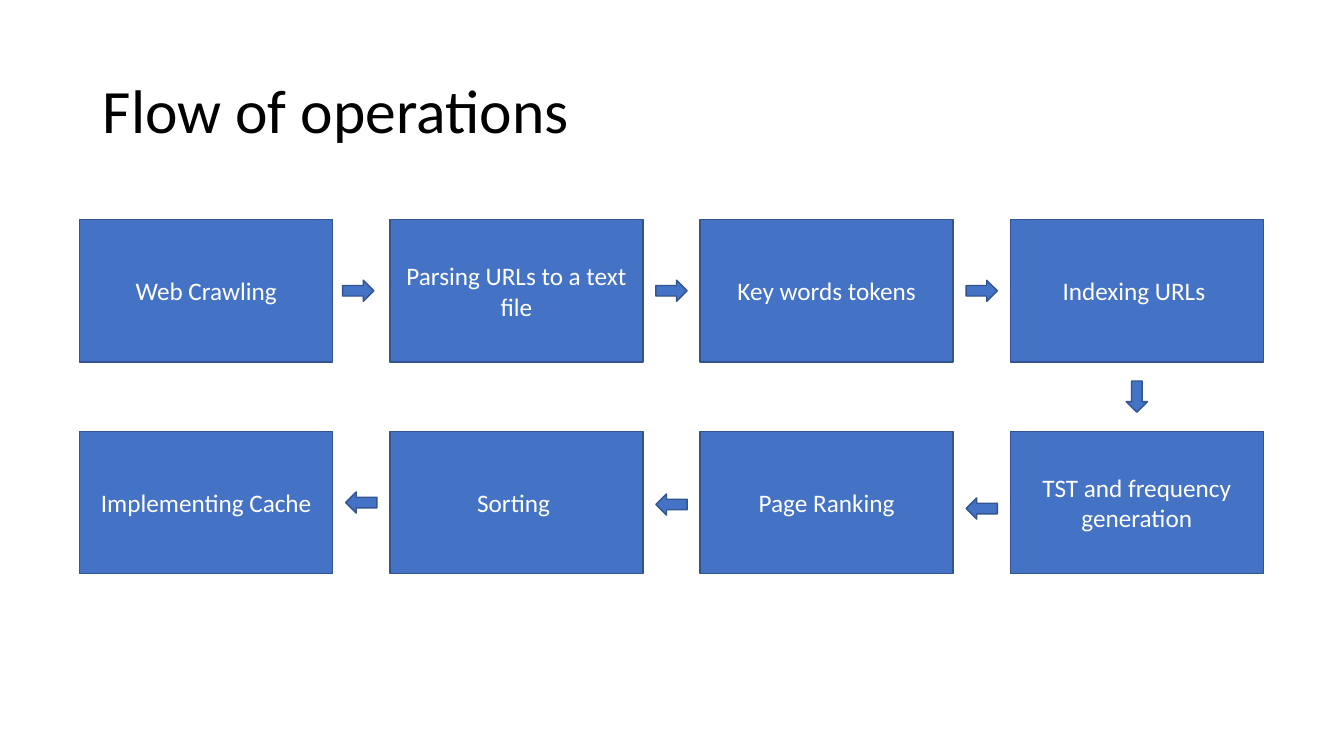
from dataclasses import dataclass
from itertools import pairwise
from math import atan2, degrees

from pptx import Presentation
from pptx.dml.color import RGBColor
from pptx.enum.shapes import MSO_SHAPE
from pptx.enum.text import MSO_ANCHOR, MSO_AUTO_SIZE, PP_ALIGN
from pptx.util import Inches, Pt


@dataclass(frozen=True)
class Theme:
    font: str = "Calibri"
    title_size: int = 44
    step_size: int = 18
    title_color: str = "000000"
    step_color: str = "FFFFFF"
    fill: str = "4472C4"
    outline: str = "325491"
    outline_width: int = 1


THEME = Theme()
TITLE_BOX = (0.92, 0.4, 11.5, 1.45)
FLOW_BOX = (0.79, 2.18, 11.74, 3.51)
COLUMNS, ROWS = 4, 2
STEP_WIDTH, STEP_HEIGHT = 2.51, 1.41
ARROW_WIDTH, ARROW_HEIGHT = 0.31, 0.21
STEPS = [
    "Web Crawling",
    "Parsing URLs to a text file",
    "Key words tokens",
    "Indexing URLs ",
    "TST and frequency generation",
    "Page Ranking",
    "Sorting ",
    "Implementing Cache",
]
# Shift from the midpoint between two steps, by arrow number
ARROW_SHIFTS = {0: (-0.03, 0), 4: (0, 0.06), 5: (0, 0.02)}


def format_text(frame, size, color, align):
    frame.word_wrap = True
    frame.auto_size = MSO_AUTO_SIZE.NONE
    frame.vertical_anchor = MSO_ANCHOR.MIDDLE
    for paragraph in frame.paragraphs:
        paragraph.alignment = align
        for run in paragraph.runs:
            run.font.name = THEME.font
            run.font.size = Pt(size)
            run.font.color.rgb = RGBColor.from_string(color)


def add_title(slide, box):
    title = slide.shapes.title
    title.left, title.top, title.width, title.height = map(Inches, box)
    title.text_frame.text = "Flow of operations"
    title.text_frame.paragraphs[0].line_spacing = 0.9
    format_text(title.text_frame, THEME.title_size, THEME.title_color, PP_ALIGN.LEFT)


def add_block(slide, preset, center, width, height):
    """Add a filled, outlined shape around a center point."""
    x, y = center
    block = slide.shapes.add_shape(
        preset, Inches(x - width / 2), Inches(y - height / 2),
        Inches(width), Inches(height))
    block.shadow.inherit = False
    block.fill.solid()
    block.fill.fore_color.rgb = RGBColor.from_string(THEME.fill)
    block.line.color.rgb = RGBColor.from_string(THEME.outline)
    block.line.width = Pt(THEME.outline_width)
    return block


def step_center(index, box):
    """Walk the grid rightwards on the first row and back on the second."""
    left, top, width, height = box
    row, column = divmod(index, COLUMNS)
    if row % 2:
        column = COLUMNS - 1 - column
    x = left + STEP_WIDTH / 2 + column * (width - STEP_WIDTH) / (COLUMNS - 1)
    y = top + STEP_HEIGHT / 2 + row * (height - STEP_HEIGHT) / (ROWS - 1)
    return x, y


def add_flow(slide, box):
    centers = [step_center(index, box) for index in range(len(STEPS))]
    for label, center in zip(STEPS, centers):
        step = add_block(slide, MSO_SHAPE.RECTANGLE, center, STEP_WIDTH, STEP_HEIGHT)
        step.text_frame.text = label
        format_text(step.text_frame, THEME.step_size, THEME.step_color, PP_ALIGN.CENTER)

    for number, ((x1, y1), (x2, y2)) in enumerate(pairwise(centers)):
        shift_x, shift_y = ARROW_SHIFTS.get(number, (0, 0))
        middle = ((x1 + x2) / 2 + shift_x, (y1 + y2) / 2 + shift_y)
        arrow = add_block(slide, MSO_SHAPE.RIGHT_ARROW, middle, ARROW_WIDTH, ARROW_HEIGHT)
        arrow.rotation = round(degrees(atan2(y2 - y1, x2 - x1)))


def main():
    presentation = Presentation()
    presentation.slide_width = Inches(13.33)
    presentation.slide_height = Inches(7.5)
    title_only = presentation.slide_layouts.get_by_name("Title Only")
    slide = presentation.slides.add_slide(title_only)
    add_title(slide, TITLE_BOX)
    add_flow(slide, FLOW_BOX)
    presentation.save("out.pptx")


if __name__ == "__main__":
    main()
